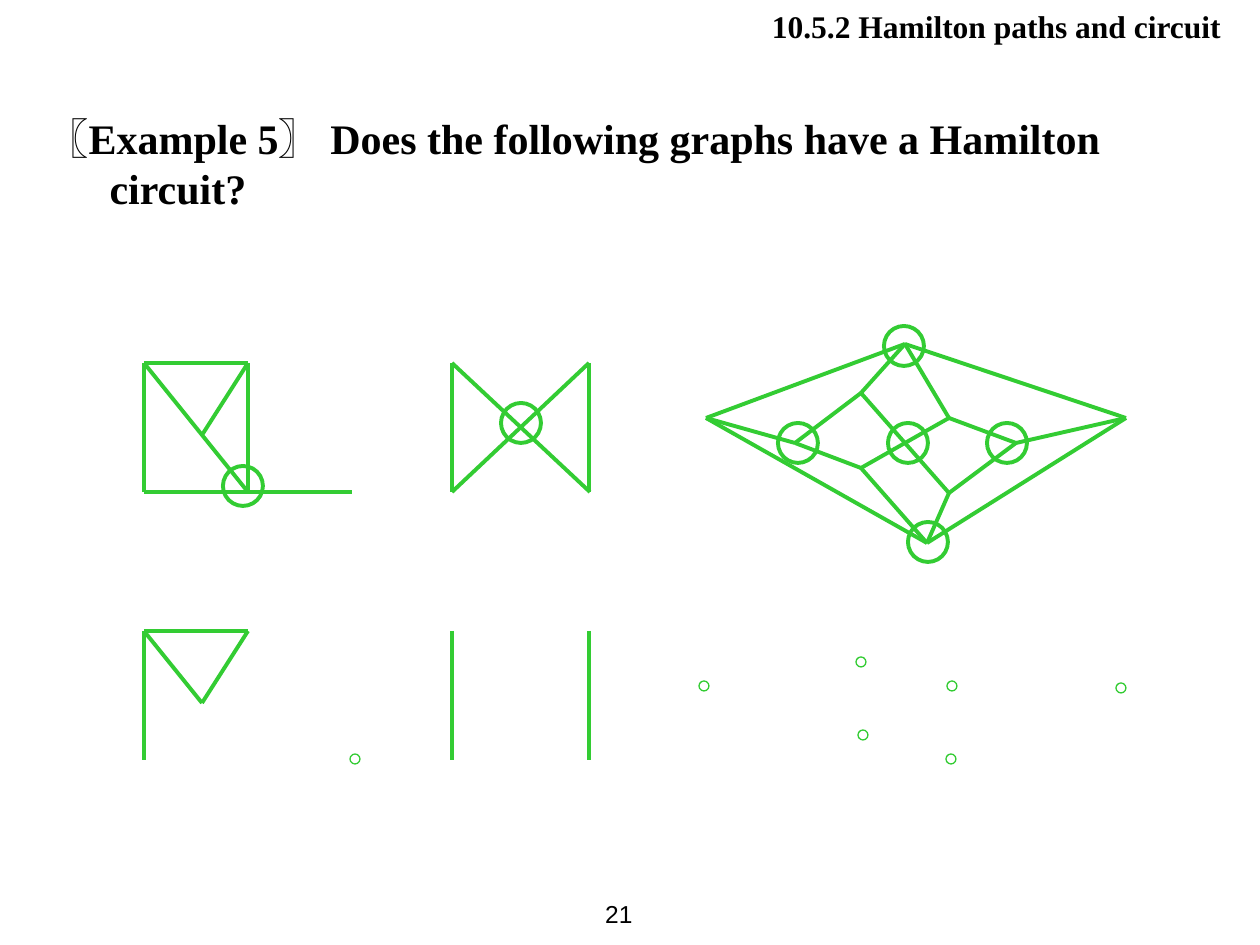
from typing import NamedTuple

from lxml.etree import SubElement
from pptx import Presentation
from pptx.dml.color import RGBColor
from pptx.enum.shapes import MSO_CONNECTOR, MSO_SHAPE
from pptx.enum.text import MSO_ANCHOR, MSO_AUTO_SIZE, PP_ALIGN
from pptx.oxml.ns import qn
from pptx.util import Emu, Pt

GREEN = RGBColor(0x33, 0xCC, 0x33)
BLACK = RGBColor(0, 0, 0)
SERIF, SANS = "Times New Roman", "Arial"
DROP = 268  # from each graph down to what is left of it
RING, DOT = 40, 10


class Circle(NamedTuple):
    cx: int
    cy: int
    size: int
    weight: float


class Graph(NamedTuple):
    vertices: dict[str, tuple[int, int]]
    edges: str
    remaining: str
    rings: list[tuple[int, int]]
    dots: list[tuple[int, int]]


GRAPHS = [
    Graph(
        {"a": (144, 363), "b": (248, 363), "c": (248, 492),
         "d": (144, 492), "e": (352, 492), "f": (202, 435)},
        "ad ab bc de ac bf", "ad ab af bf",
        [(243, 486)], [(355, 759)],
    ),
    Graph(
        {"a": (452, 363), "b": (589, 363), "c": (590, 492), "d": (452, 492),
         "e": (589, 492)},
        "ad be db ac", "ad be",
        [(521, 423)], [],
    ),
    Graph(
        {"a": (905, 344), "b": (861, 393), "c": (949, 418), "d": (795, 443),
         "e": (1016, 443), "f": (861, 468), "g": (949, 493), "h": (927, 543),
         "i": (706, 418), "j": (1126, 418)},
        "ab gh ac ce df fh cf bg ai id ih aj ej db eg hj", "",
        [(904, 346), (798, 443), (908, 443), (1007, 443), (928, 542)],
        [(861, 662), (863, 735), (952, 686), (951, 759), (704, 686), (1121, 688)],
    ),
]


def px(n: float) -> Emu:
    return Emu(round(n * 914400 / 126))


def draw_edges(shapes, graph: Graph, edges: str, dy: int = 0) -> None:
    for start, end in edges.split():
        (x1, y1), (x2, y2) = graph.vertices[start], graph.vertices[end]
        line = shapes.add_connector(
            MSO_CONNECTOR.STRAIGHT, px(x1), px(y1 + dy), px(x2), px(y2 + dy))
        line.line.color.rgb = GREEN
        line.line.width = Pt(2.25)
        SubElement(line._element.spPr, qn("a:effectLst"))


def draw_circle(shapes, c: Circle) -> None:
    sp = shapes.add_shape(
        MSO_SHAPE.OVAL, px(c.cx - c.size / 2), px(c.cy - c.size / 2),
        px(c.size), px(c.size))
    sp.shadow.inherit = False
    sp.fill.background()
    sp.line.color.rgb = GREEN
    sp.line.width = Pt(c.weight)


def set_frame(sp, left: int, top: int, width: int, height: int,
              anchor: MSO_ANCHOR = MSO_ANCHOR.TOP):
    """Place a text shape and return its emptied first paragraph."""
    sp.left, sp.top, sp.width, sp.height = map(px, (left, top, width, height))
    tf = sp.text_frame
    tf.word_wrap = True
    tf.auto_size = MSO_AUTO_SIZE.NONE
    tf.vertical_anchor = anchor
    p = tf.paragraphs[0]
    p.space_before = Pt(0)
    return p


def add_run(p, text: str, font: str, size: int, bold: bool = False) -> None:
    r = p.add_run()
    r.text = text
    r.font.name = font
    r.font.size = Pt(size)
    r.font.bold = bold
    r.font.color.rgb = BLACK


def main() -> None:
    prs = Presentation()
    prs.slide_width, prs.slide_height = px(1260), px(945)
    s = prs.slides.add_slide(prs.slide_layouts[1])

    title, body = s.placeholders[0], s.placeholders[1]
    p = set_frame(title, 501, 1, 748, 50)
    title.text_frame.margin_right = px(28)
    p.alignment = PP_ALIGN.RIGHT
    add_run(p, "10.5.2 Hamilton paths and circuit", SERIF, 18, True)

    p = set_frame(body, 34, 106, 1152, 113)
    pPr = p._p.get_or_add_pPr()
    pPr.set("marL", str(px(63)))
    pPr.set("indent", str(px(-63)))
    SubElement(pPr, qn("a:buNone"))
    for text, font in [
        ("〖", SANS),
        ("Example 5", SERIF),
        ("〗 ", SANS),
        ("Does the following graphs have a Hamilton circuit?", SERIF),
    ]:
        add_run(p, text, font, 24, True)

    for graph in GRAPHS:
        upper = s.shapes.add_group_shape().shapes
        draw_edges(upper, graph, graph.edges)
        for x, y in graph.rings:
            draw_circle(upper, Circle(x, y, RING, 2.25))

        lower = s.shapes.add_group_shape().shapes
        draw_edges(lower, graph, graph.remaining, DROP)
        for x, y in graph.dots:
            draw_circle(lower, Circle(x, y, DOT, 0.75))

    number = s.shapes.add_textbox(0, 0, 0, 0)
    p = set_frame(number, 561, 882, 84, 63, MSO_ANCHOR.MIDDLE)
    p.alignment = PP_ALIGN.RIGHT
    add_run(p, "21", SANS, 14)

    prs.save("out.pptx")


if __name__ == "__main__":
    main()
